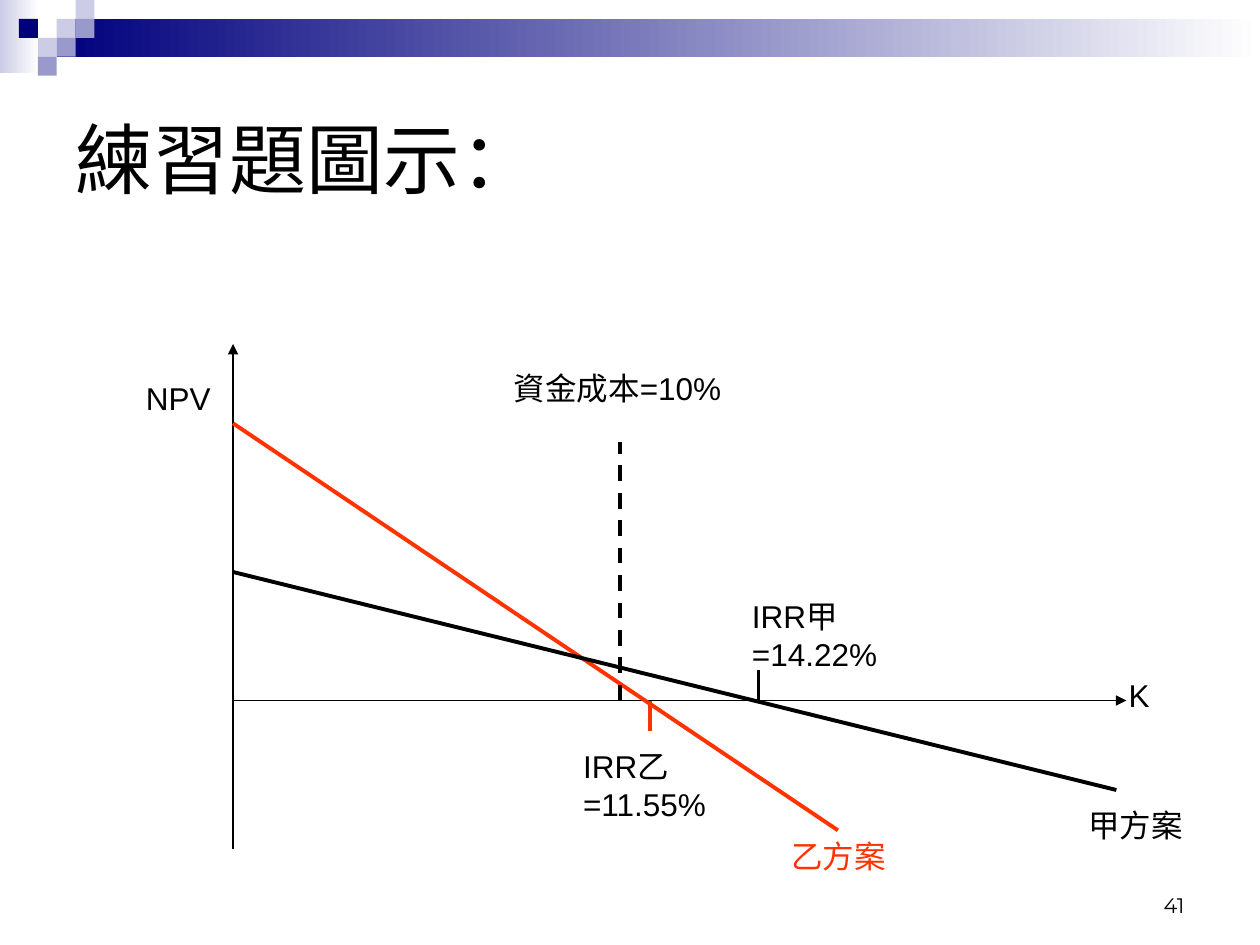
from lxml.etree import SubElement
from pptx import Presentation
from pptx.dml.color import RGBColor
from pptx.enum.dml import MSO_LINE_DASH_STYLE as Dash
from pptx.enum.shapes import MSO_CONNECTOR, MSO_SHAPE
from pptx.enum.text import MSO_ANCHOR as Anchor, PP_ALIGN as Align
from pptx.oxml.ns import qn
from pptx.util import Inches, Pt

COLORS = {"navy": "00007D", "pale": "CCCCE6", "lilac": "9999CC",
          "white": "FFFFFF", "black": "000000", "red": "FF3300"}

# Header: gradient bands as left, top, width, height; squares as column, row
BANDS = [((0, 0, 0.31, 0.58), "pale"), ((0.45, 0.15, 9.55, 0.3), "navy")]
CELL = 0.15
SQUARES = [(3, 1, "pale"), (4, 0, "pale"), (4, 1, "lilac"), (2, 2, "pale"),
           (1, 1, "navy"), (3, 2, "lilac"), (2, 3, "lilac")]

TITLE = "練習題圖示："
PAGE = "41"

# Graph: the origin is where the NPV axis meets the K axis
X0, Y0 = 1.85, 5.56
TICK = 0.24
IRR_A, IRR_B, COST = 6.02, 5.16, 4.92
AXES = [((X0, 6.74), (X0, 2.73)), ((X0, Y0), (8.94, Y0))]
PLANS = [((X0, 3.36), (6.65, 6.59), "red"), ((X0, 4.54), (8.86, 6.27), "black")]
MARKS = [(IRR_A, Y0 - TICK, "black", None), (IRR_B, Y0 + TICK, "red", None),
         (COST, 3.51, "black", Dash.DASH)]
LABELS = [
    ("NPV", (1.06, 2.96, 0.79, 0.4), "black"),
    ("K", (8.86, 5.32, 0.47, 0.4), "black"),
    ("甲方案", (8.54, 6.35, 1.02, 0.4), "black"),
    ("乙方案", (6.18, 6.59, 1.18, 0.4), "red"),
    ("IRR甲=14.22%", (5.87, 4.69, 1.5, 0.7), "black"),
    ("IRR乙=11.55%", (4.53, 5.88, 1.26, 0.7), "black"),
    ("資金成本=10%", (3.98, 2.88, 1.97, 0.4), "black"),
]


def rgb(name):
    return RGBColor.from_string(COLORS[name])


def add_block(slide, box, color, fade=False):
    """Add a borderless rectangle, optionally fading to white on the right."""
    block = slide.shapes.add_shape(MSO_SHAPE.RECTANGLE, *map(Inches, box))
    block.shadow.inherit = False
    block.line.fill.background()
    if fade:
        block.fill.gradient()
        block.fill.gradient_angle = 0
        for stop, name in zip(block.fill.gradient_stops, (color, "white")):
            stop.color.rgb = rgb(name)
    else:
        block.fill.solid()
        block.fill.fore_color.rgb = rgb(color)


def add_line(slide, start, end, color="black", width=2.25, dash=None, arrow=False):
    line = slide.shapes.add_connector(
        MSO_CONNECTOR.STRAIGHT, *map(Inches, (*start, *end)))
    line.line.color.rgb = rgb(color)
    line.line.width = Pt(width)
    if dash:
        line.line.dash_style = dash
    if arrow:
        SubElement(line.line._get_or_add_ln(), qn("a:tailEnd"), type="triangle")
    SubElement(line._element.spPr, qn("a:effectLst"))


def add_text(slide, text, box, size=18, color="black", font="Arial",
             anchor=Anchor.TOP, align=Align.LEFT):
    frame = slide.shapes.add_textbox(*map(Inches, box)).text_frame
    frame.word_wrap = True
    frame.vertical_anchor = anchor
    frame.text = text
    paragraph = frame.paragraphs[0]
    paragraph.alignment = align
    style = paragraph.runs[0].font
    style.name, style.size, style.color.rgb = font, Pt(size), rgb(color)


def main():
    deck = Presentation()
    deck.slide_width, deck.slide_height = Inches(10), Inches(7.5)
    slide = deck.slides.add_slide(deck.slide_layouts[6])

    for box, color in BANDS:
        add_block(slide, box, color, fade=True)
    for column, row, color in SQUARES:
        add_block(slide, (column * CELL, row * CELL, CELL, CELL), color)

    add_text(slide, PAGE, (7.17, 6.83, 2.33, 0.5), 12, font="Montserrat",
             anchor=Anchor.BOTTOM, align=Align.RIGHT)
    add_text(slide, TITLE, (0.5, 0.5, 9, 1.5), 44, anchor=Anchor.MIDDLE)

    for start, end in AXES:
        add_line(slide, start, end, width=0.75, arrow=True)
    for start, end, color in PLANS:
        add_line(slide, start, end, color)
    for rate, reach, color, dash in MARKS:
        add_line(slide, (rate, Y0), (rate, reach), color, dash=dash)
    for text, box, color in LABELS:
        add_text(slide, text, box, color=color)

    deck.save("out.pptx")


if __name__ == "__main__":
    main()
